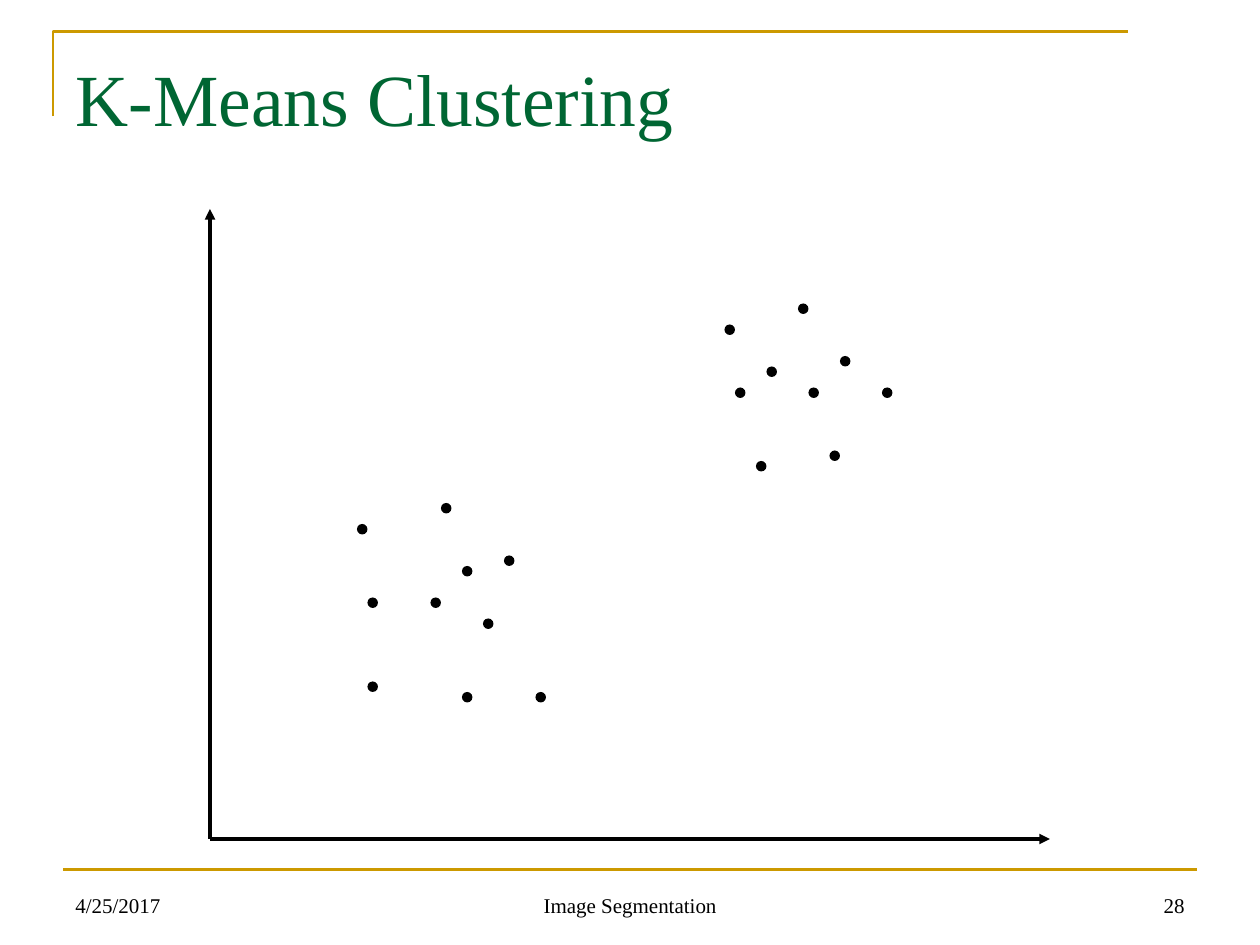
from lxml import etree
from pptx import Presentation
from pptx import util as u
from pptx.dml.color import RGBColor
from pptx.enum import shapes, text
from pptx.oxml.ns import qn

COLORS = {"gold": "CC9900", "green": "006633", "black": "000000"}
FONT = "Times New Roman"
GRID = 2.54 / 12
GRID_TOP = -0.02


def write(shape, content, size, color, alignment, anchor):
    frame = shape.text_frame
    frame.word_wrap = True
    frame.vertical_anchor = anchor
    paragraph = frame.paragraphs[0]
    paragraph.alignment = alignment
    run = paragraph.add_run()
    run.text = content
    run.font.size = u.Pt(size)
    run.font.name = FONT
    run.font.color.rgb = RGBColor.from_string(COLORS[color])


def draw_line(start, end, color, width, arrow=False):
    points = [u.Cm(value) for value in (*start, *end)]
    connector = slide.shapes.add_connector(shapes.MSO_CONNECTOR.STRAIGHT, *points)
    connector.line.color.rgb = RGBColor.from_string(COLORS[color])
    connector.line.width = u.Pt(width)
    if arrow:
        line = connector.line._get_or_add_ln()
        etree.SubElement(line, qn("a:tailEnd"), type="triangle")
    etree.SubElement(connector._element.spPr, qn("a:effectLst"))


presentation = Presentation()
presentation.slide_width = u.Cm(25.4)
presentation.slide_height = u.Cm(19.05)
slide = presentation.slides.add_slide(presentation.slide_layouts[5])

builder = slide.shapes.build_freeform(u.Cm(1.07), u.Cm(2.34))
builder.add_line_segments(
    [(u.Cm(1.07), u.Cm(0.64)), (u.Cm(22.73), u.Cm(0.64))], close=False
)
corner = builder.convert_to_shape()
corner.shadow.inherit = False
corner.fill.background()
corner.line.color.rgb = RGBColor.from_string(COLORS["gold"])
corner.line.width = u.Pt(1.5)
draw_line((1.27, 17.53), (24.13, 17.53), "gold", 1.5)

title = slide.shapes.title
title.left, title.top = u.Cm(1.27), u.Cm(0.76)
title.width, title.height = u.Cm(22.86), u.Cm(3.18)
title.text_frame.margin_top = u.Cm(0.3)
write(title, "K-Means Clustering", 42, "green", text.PP_ALIGN.LEFT, text.MSO_ANCHOR.TOP)

footers = [
    ("4/25/2017", 1.27, 5.92, text.PP_ALIGN.LEFT),
    ("Image Segmentation", 8.68, 8.05, text.PP_ALIGN.CENTER),
    ("28", 18.21, 5.92, text.PP_ALIGN.RIGHT),
]
for content, left, width, alignment in footers:
    footer = slide.shapes.add_textbox(u.Cm(left), u.Cm(17.35), u.Cm(width), u.Cm(1.27))
    write(footer, content, 12, "black", alignment, text.MSO_ANCHOR.BOTTOM)

origin = (20 * GRID, 80 * GRID + GRID_TOP)
for column, row in [(100, 80), (20, 20)]:
    draw_line(origin, (column * GRID, row * GRID + GRID_TOP), "black", 2, arrow=True)

upper_cluster = [
    (69, 31), (70, 37), (73, 35), (76, 29), (80, 34),
    (77, 37), (72, 44), (79, 43), (84, 37),
]
lower_cluster = [
    (42, 48), (48, 53), (46, 59), (44, 54), (34, 50),
    (35, 57), (41, 57), (44, 66), (35, 65), (51, 66),
]
for column, row in upper_cluster + lower_cluster:
    dot = slide.shapes.add_shape(
        shapes.MSO_SHAPE.OVAL,
        u.Cm(column * GRID), u.Cm(row * GRID + GRID_TOP), u.Cm(GRID), u.Cm(GRID),
    )
    dot.shadow.inherit = False
    dot.fill.solid()
    dot.fill.fore_color.rgb = RGBColor.from_string(COLORS["black"])
    dot.line.fill.background()

presentation.save("out.pptx")
